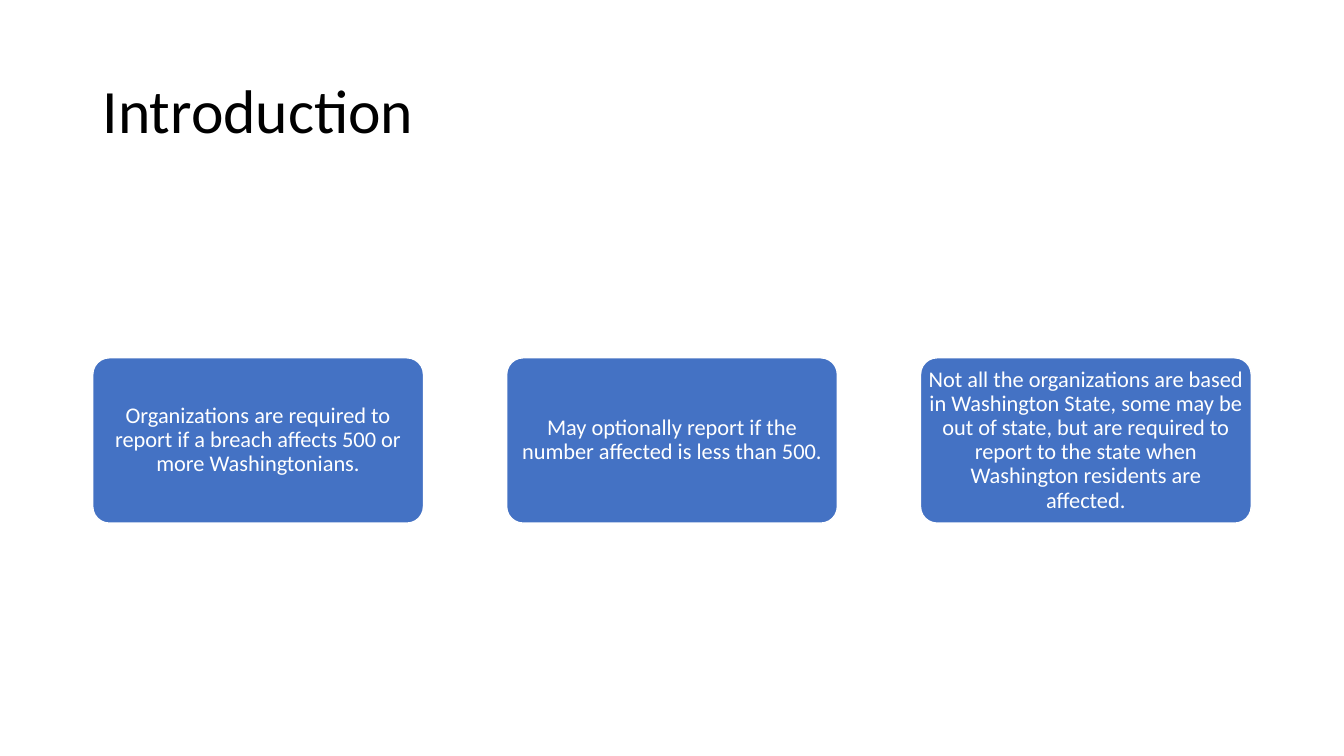
from pptx import Presentation
from pptx.dml.color import RGBColor
from pptx.enum import shapes, text
from pptx.util import Inches, Pt

# Content
TITLE = "Introduction"
RULES = [
    "Organizations are required to report if a breach affects 500 or more Washingtonians.",
    "May optionally report if the number affected is less than 500.",
    "Not all the organizations are based in Washington State, some may be out of state, "
    "but are required to report to the state when Washington residents are affected.",
]

# Layout in inches
LEFT, CARD_TOP = 0.92, 3.55
CARD_WIDTH, CARD_HEIGHT = 3.28, 1.64
CARD_STEP = 4.105


def color(hex_value):
    return RGBColor.from_string(hex_value)


def write(frame, words, size, hex_value, align):
    frame.word_wrap = True
    frame.vertical_anchor = text.MSO_ANCHOR.MIDDLE
    paragraph = frame.paragraphs[0]
    paragraph.text = words
    paragraph.alignment = align
    paragraph.line_spacing = 0.9
    paragraph.font.name = "Calibri"
    paragraph.font.size = Pt(size)
    paragraph.font.color.rgb = color(hex_value)


presentation = Presentation()
presentation.slide_width, presentation.slide_height = Inches(13.33), Inches(7.5)
slide = presentation.slides.add_slide(presentation.slide_layouts[6])

# Title
title = slide.shapes.add_textbox(Inches(LEFT), Inches(0.4), Inches(11.5), Inches(1.45))
write(title.text_frame, TITLE, 44, "000000", text.PP_ALIGN.LEFT)

# Row of reporting rules
for index, rule in enumerate(RULES):
    card = slide.shapes.add_shape(
        shapes.MSO_SHAPE.ROUNDED_RECTANGLE,
        Inches(LEFT + index * CARD_STEP), Inches(CARD_TOP),
        Inches(CARD_WIDTH), Inches(CARD_HEIGHT))
    card.adjustments[0] = 0.1
    card.shadow.inherit = False
    card.fill.solid()
    card.fill.fore_color.rgb = color("4472C4")
    card.line.color.rgb = color("FFFFFF")
    card.line.width = Pt(1)
    frame = card.text_frame
    frame.margin_left = frame.margin_right = Inches(0.03)
    frame.margin_top = frame.margin_bottom = Inches(0.02)
    write(frame, rule, 16, "FFFFFF", text.PP_ALIGN.CENTER)

presentation.save("out.pptx")
